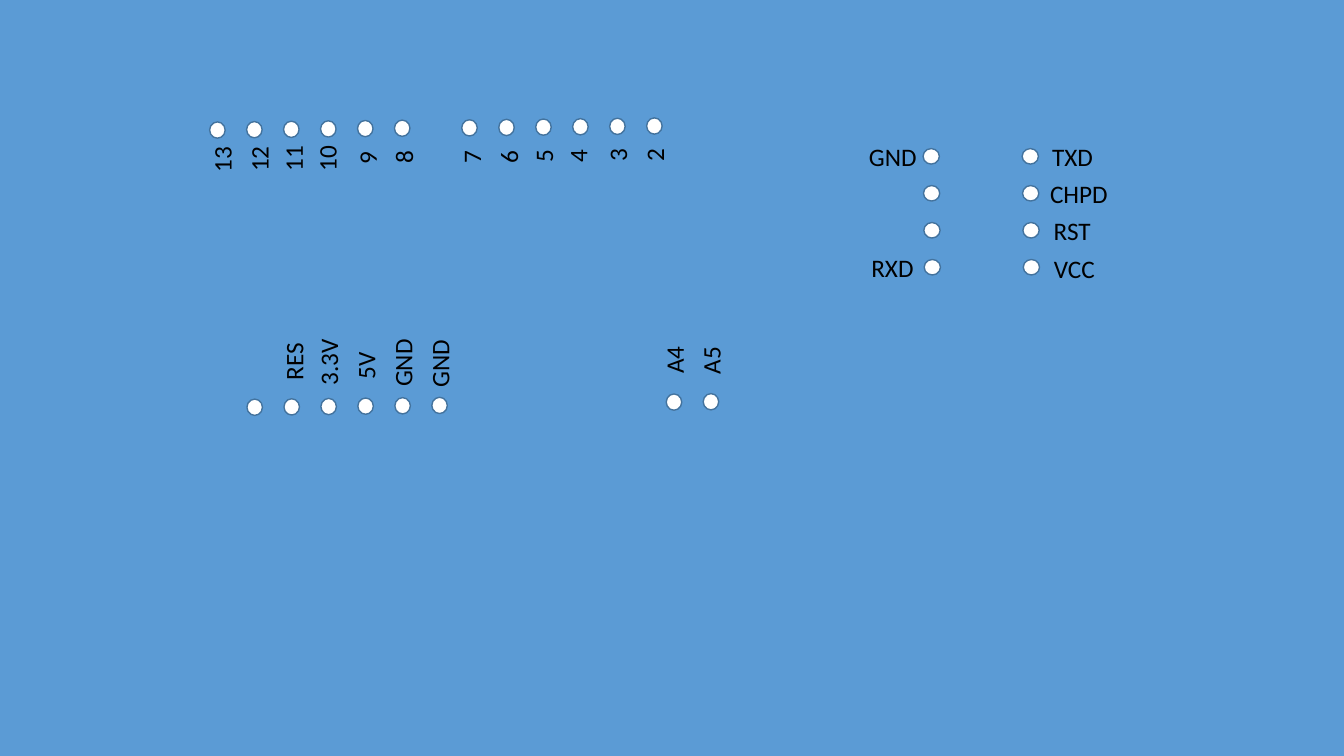
from pptx import Presentation, util as u
from pptx.dml.color import RGBColor
from pptx.enum import shapes, text

BLUE = RGBColor(0x5B, 0x9B, 0xD5)
OUTLINE = RGBColor(0x43, 0x73, 0x9E)
WHITE = RGBColor(0xFF, 0xFF, 0xFF)
BLACK = RGBColor(0, 0, 0)

# Label widths in grid units; any other label is sized by its digits
WIDTHS = {"GND": 1.85, "RES": 1.55, "3.3V": 1.8, "5V": 1.28, "A4": 1.31, "A5": 1.31,
          "TXD": 1.66, "CHPD": 2.13, "RST": 1.55, "VCC": 1.66, "RXD": 1.72}


class Board:
    """Draws on a square grid whose unit is the pitch between two pins."""
    PITCH = 1.1 / 3
    PIN_W, PIN_H, LABEL_H = 0.42, 0.44, 1.1

    def __init__(self, prs):
        self.s = prs.slides.add_slide(prs.slide_layouts[6])
        fill = self.s.background.fill
        fill.solid()
        fill.fore_color.rgb = BLUE

    def box(self, cx, cy, w, h):
        return [u.Inches(n * self.PITCH) for n in (cx - w / 2, cy - h / 2, w, h)]

    def pin(self, parent, cx, cy, rotation):
        sp = parent.add_shape(shapes.MSO_SHAPE.FLOWCHART_CONNECTOR,
                              *self.box(cx, cy, self.PIN_W, self.PIN_H))
        sp.rotation = rotation
        sp.shadow.inherit = False
        sp.fill.solid()
        sp.fill.fore_color.rgb = WHITE
        sp.line.color.rgb = OUTLINE
        sp.line.width = u.Pt(1)

    def label(self, name, cx, cy, rotation):
        width = WIDTHS.get(name, 0.55 + 0.35 * len(name))
        sp = self.s.shapes.add_textbox(*self.box(cx, cy, width, self.LABEL_H))
        sp.rotation = rotation
        tf = sp.text_frame
        tf.word_wrap = False
        tf.auto_size = text.MSO_AUTO_SIZE.SHAPE_TO_FIT_TEXT
        p = tf.paragraphs[0]
        p.text = name
        p.font.name, p.font.size = "Calibri", u.Pt(18)
        p.font.color.rgb = BLACK

    def header(self, x, y, labels, vertical=False):
        """Pins from (x, y); each label is (name, dx, dy) from its pin."""
        step_x, step_y = (0.01, 1) if vertical else (1, -0.01)
        pin_turn, label_turn = (270, 0) if vertical else (0, 270)
        parent = self.s.shapes
        if vertical:
            parent = parent.add_group_shape().shapes
        for i, (name, dx, dy) in enumerate(labels):
            cx, cy = x + i * step_x, y + i * step_y
            self.pin(parent, cx, cy, pin_turn)
            if name:
                self.label(name, cx + dx, cy + dy, label_turn)


def main():
    prs = Presentation()
    prs.slide_width, prs.slide_height = u.Inches(13.33), u.Inches(7.5)
    board = Board(prs)
    free = ("", 0, 0)

    # Digital pins, labelled below
    below = 0.78
    board.header(5.88, 3.52, [("13", 0.12, below), ("12", 0.12, below), ("11", 0.05, below),
                              ("10", -0.04, below), ("9", 0.05, below), ("8", 0.03, below)])
    board.header(12.7, 3.46, [("7", 0.05, below), ("6", 0.05, below), ("5", 0, below),
                              ("4", -0.08, below), ("3", 0, below), ("2", 0, below)])

    # Power and analog pins, labelled above
    board.header(6.89, 11.02, [free, ("RES", 0.05, -1.22), ("3.3V", -0.01, -1.2),
                               ("5V", 0, -1.09), ("GND", 0, -1.17), ("GND", 0, -1.15)])
    board.header(18.23, 10.88, [("A4", 0, -1.15), ("A5", 0, -1.13)])

    # Wireless module, labelled on its outer sides
    board.header(25.19, 4.23, [("GND", -1.03, 0), free, free, ("RXD", -1.06, 0)], vertical=True)
    board.header(27.87, 4.23, [("TXD", 1.15, 0), ("CHPD", 1.32, 0),
                               ("RST", 1.12, 0.02), ("VCC", 1.17, 0.05)], vertical=True)

    prs.save("out.pptx")


if __name__ == "__main__":
    main()
